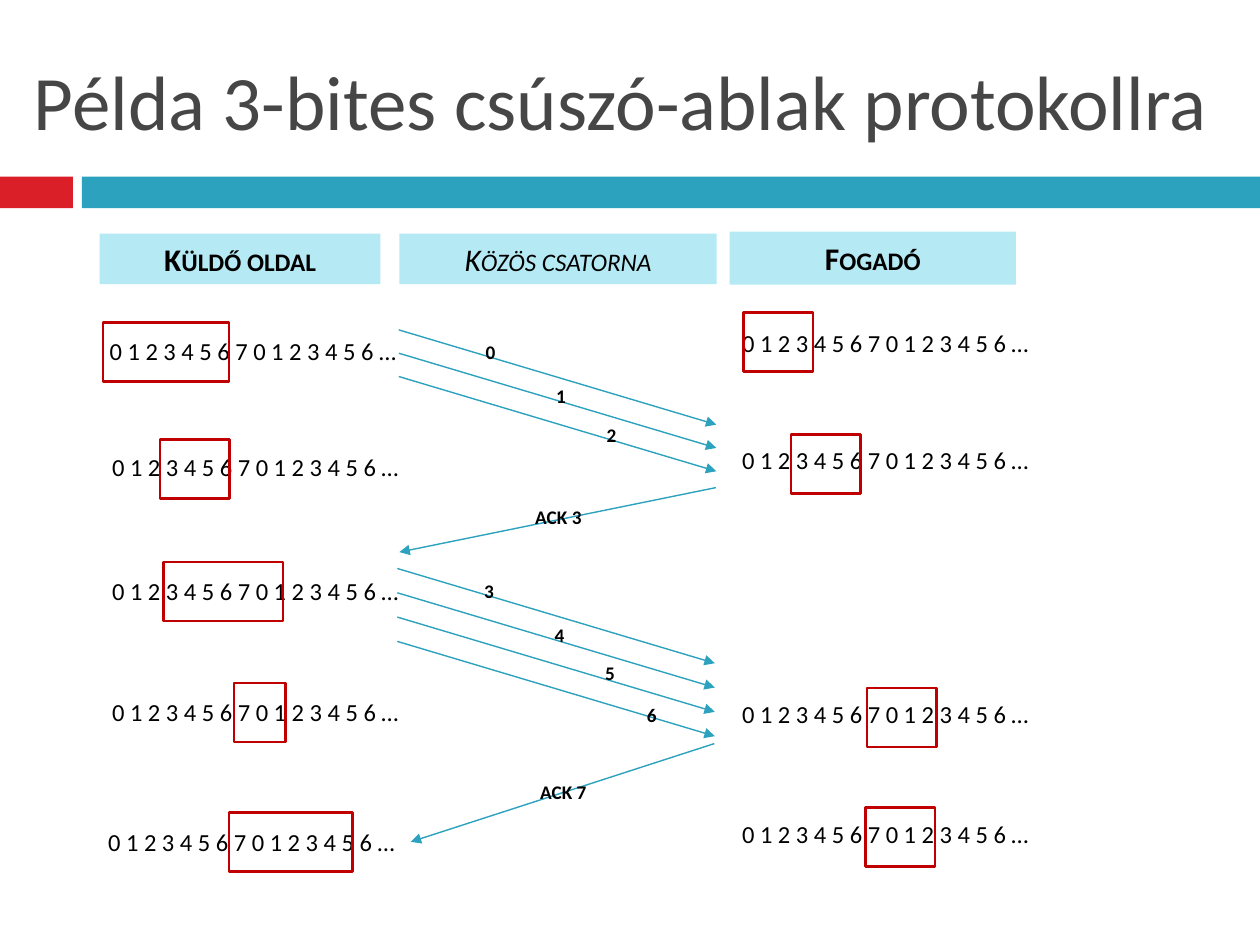
from dataclasses import dataclass

from lxml.etree import SubElement
from pptx import Presentation
from pptx.dml.color import RGBColor
from pptx.enum.shapes import MSO_CONNECTOR, MSO_SHAPE
from pptx.enum.text import MSO_ANCHOR, MSO_AUTO_SIZE, PP_ALIGN
from pptx.oxml.ns import qn
from pptx.util import Cm, Pt


@dataclass(frozen=True)
class Theme:
    font: str = "Calibri"
    title: str = "464646"
    text: str = "000000"
    red: str = "DA1F28"
    teal: str = "2DA2BF"
    header: str = "B5E9F4"
    window: str = "C00000"
    title_size: float = 44
    header_size: float = 18
    sequence_size: float = 14
    label_size: float = 11
    window_line: float = 1.5
    arrow_line: float = 0.79


# All lengths below are centimetres
@dataclass(frozen=True)
class Rect:
    left: float
    top: float
    width: float
    height: float

    def lengths(self):
        return Cm(self.left), Cm(self.top), Cm(self.width), Cm(self.height)


@dataclass(frozen=True)
class Header:
    text: str
    area: Rect
    bold: bool = False
    italic: bool = False


@dataclass(frozen=True)
class WindowState:
    text_left: float
    text_top: float
    window_left: float
    window_top: float
    window_width: float = 1.4


@dataclass(frozen=True)
class Burst:
    """Frames sent one after another, down and to the right."""
    first: int
    count: int
    left: float
    top: float
    step: float


@dataclass(frozen=True)
class Acknowledgement:
    text: str
    start: tuple[float, float]
    end: tuple[float, float]
    label: tuple[float, float]


THEME = Theme()
SEQUENCE = "0 1 2 3 4 5 6 7 0 1 2 3 4 5 6 …"
WINDOW_HEIGHT = 1.19
FRAME_RUN, FRAME_DROP = 6.4, 1.91
LABEL_OFFSETS = [(1.5, 0.09), (2.92, 0.97), (3.94, 1.75), (4.78, 2.59)]

BARS = [
    (Rect(0, 3.56, 1.47, 0.64), THEME.red),
    (Rect(1.65, 3.56, 23.75, 0.64), THEME.teal),
]
HEADERS = [
    Header("Küldő oldal", Rect(2.01, 4.71, 5.66, 1.02), bold=True),
    Header("Közös csatorna", Rect(8.05, 4.71, 6.4, 1.02), italic=True),
    Header("Fogadó", Rect(14.71, 4.67, 5.77, 1.07), bold=True),
]
SENDER = [
    WindowState(1.96, 6.65, 2.08, 6.5, 2.54),
    WindowState(2.01, 8.99, 3.23, 8.86),
    WindowState(2.01, 11.48, 3.3, 11.33, 2.41),
    WindowState(2.01, 13.92, 4.72, 13.77, 1.04),
    WindowState(1.93, 16.54, 4.62, 16.38, 2.49),
]
RECEIVER = [
    WindowState(14.71, 6.48, 14.99, 6.3),
    WindowState(14.71, 8.84, 15.95, 8.76),
    WindowState(14.71, 13.97, 17.48, 13.87),
    WindowState(14.71, 16.38, 17.45, 16.28),
]
BURSTS = [Burst(0, 3, 8.04, 6.65, 0.47), Burst(3, 4, 8.01, 11.46, 0.49)]
ACKNOWLEDGEMENTS = [
    Acknowledgement("ACK 3", (14.43, 9.83), (8.05, 11.13), (10.54, 10.06)),
    Acknowledgement("ACK 7", (14.4, 14.99), (8.28, 16.97), (10.64, 15.6)),
]


def style(para, size: float, color: str = THEME.text, bold: bool = False, italic: bool = False) -> None:
    font = para.font
    font.name, font.size = THEME.font, Pt(size)
    font.bold, font.italic = bold, italic
    font.color.rgb = RGBColor.from_string(color)


def add_box(page, area: Rect, fill: str | None = None, line: str | None = None):
    box = page.shapes.add_shape(MSO_SHAPE.RECTANGLE, *area.lengths())
    box.shadow.inherit = False
    if fill:
        box.fill.solid()
        box.fill.fore_color.rgb = RGBColor.from_string(fill)
    else:
        box.fill.background()
    if line:
        box.line.color.rgb = RGBColor.from_string(line)
        box.line.width = Pt(THEME.window_line)
    else:
        box.line.fill.background()
    return box


def add_text(page, text: str, area: Rect, size: float, bold: bool = False) -> None:
    frame = page.shapes.add_textbox(*area.lengths()).text_frame
    frame.word_wrap = False
    frame.auto_size = MSO_AUTO_SIZE.SHAPE_TO_FIT_TEXT
    frame.text = text
    style(frame.paragraphs[0], size, bold=bold)


def add_label(page, text: str, left: float, top: float) -> None:
    width = 0.71 if len(text) == 1 else 1.47
    add_text(page, text, Rect(left, top, width, 0.74), THEME.label_size, bold=True)


def add_arrow(page, start: tuple[float, float], end: tuple[float, float]) -> None:
    points = [Cm(value) for value in (*start, *end)]
    arrow = page.shapes.add_connector(MSO_CONNECTOR.STRAIGHT, *points)
    arrow.line.color.rgb = RGBColor.from_string(THEME.teal)
    arrow.line.width = Pt(THEME.arrow_line)
    SubElement(arrow.line._get_or_add_ln(), qn("a:tailEnd"), type="triangle")
    SubElement(arrow._element.spPr, qn("a:effectLst"))


def add_title(page, text: str) -> None:
    title = page.shapes.title
    title.left, title.top, title.width, title.height = Rect(0.43, 0.64, 24.56, 2.74).lengths()
    frame = title.text_frame
    frame.text = text
    frame.word_wrap = True
    frame.auto_size = MSO_AUTO_SIZE.NONE
    frame.vertical_anchor = MSO_ANCHOR.MIDDLE
    para = frame.paragraphs[0]
    para.alignment = PP_ALIGN.LEFT
    style(para, THEME.title_size, THEME.title)


def add_header(page, header: Header) -> None:
    frame = add_box(page, header.area, fill=THEME.header).text_frame
    frame.text = header.text
    frame.word_wrap = True
    para = frame.paragraphs[0]
    para.alignment = PP_ALIGN.CENTER
    style(para, THEME.header_size, bold=header.bold, italic=header.italic)
    para.font._element.set("cap", "small")


def add_state(page, state: WindowState) -> None:
    add_text(page, SEQUENCE, Rect(state.text_left, state.text_top, 6.32, 0.86), THEME.sequence_size)
    window = Rect(state.window_left, state.window_top, state.window_width, WINDOW_HEIGHT)
    add_box(page, window, line=THEME.window)


def add_burst(page, burst: Burst) -> None:
    for index in range(burst.count):
        top = burst.top + index * burst.step
        add_arrow(page, (burst.left, top), (burst.left + FRAME_RUN, top + FRAME_DROP))
        across, down = LABEL_OFFSETS[index]
        add_label(page, str(burst.first + index), burst.left + across, burst.top + down)


def main() -> None:
    deck = Presentation()
    deck.slide_width, deck.slide_height = Cm(25.4), Cm(19.05)
    page = deck.slides.add_slide(deck.slide_layouts.get_by_name("Title Only"))

    # Title and the band below it
    for area, color in BARS:
        add_box(page, area, fill=color)
    add_title(page, "Példa 3-bites csúszó-ablak protokollra")

    # Window positions on both sides
    for state in SENDER + RECEIVER:
        add_state(page, state)

    # Traffic on the shared channel
    for burst in BURSTS:
        add_burst(page, burst)
    for reply in ACKNOWLEDGEMENTS:
        add_arrow(page, reply.start, reply.end)
        add_label(page, reply.text, *reply.label)

    # Column headers
    for header in HEADERS:
        add_header(page, header)

    deck.save("out.pptx")


if __name__ == "__main__":
    main()
